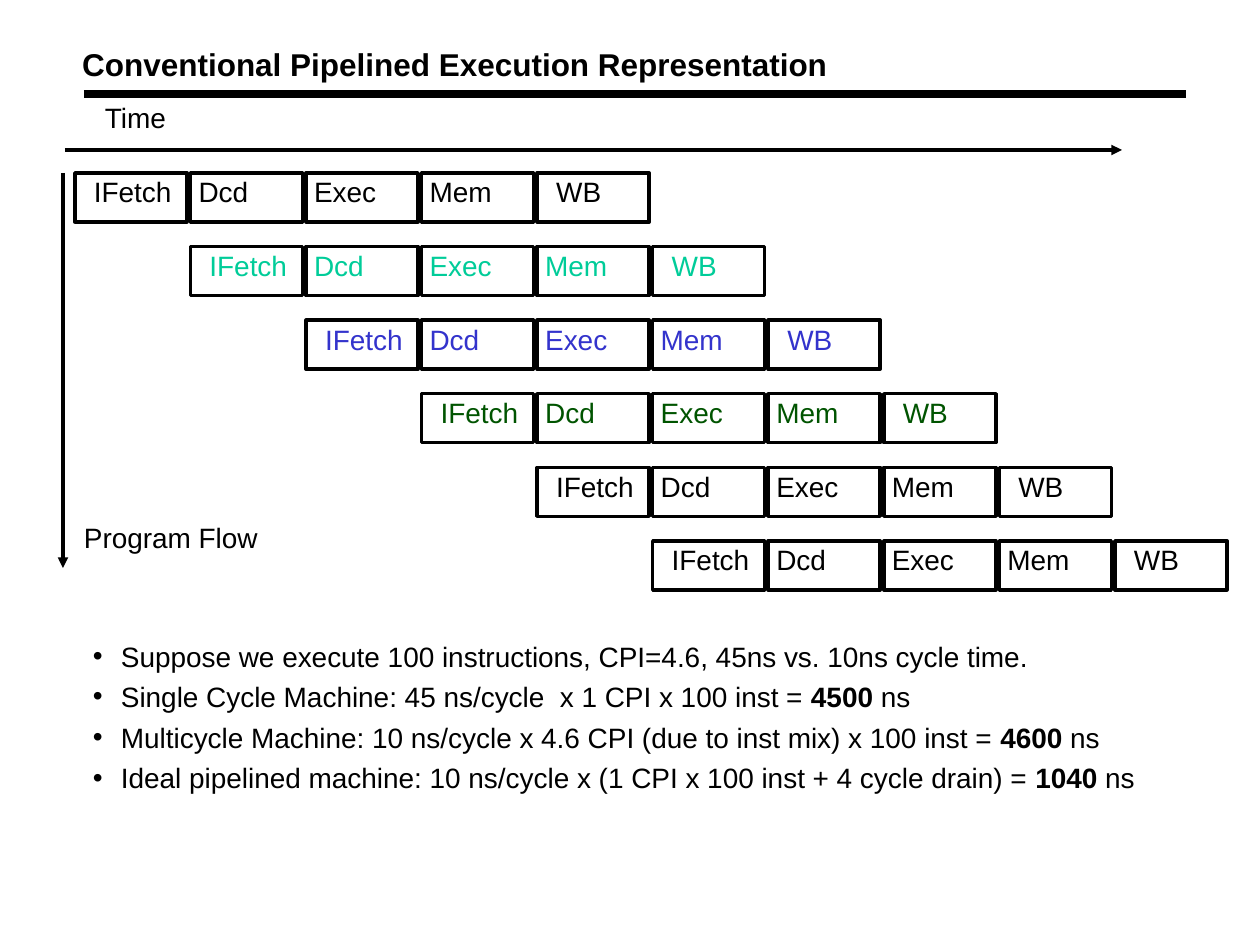
from dataclasses import dataclass

from lxml import etree
from pptx import Presentation
from pptx.dml.color import RGBColor
from pptx.enum.shapes import MSO_CONNECTOR, MSO_SHAPE
from pptx.enum.text import MSO_ANCHOR, MSO_AUTO_SIZE, PP_ALIGN
from pptx.oxml.ns import qn
from pptx.util import Pt

STRAIGHT = MSO_CONNECTOR.STRAIGHT
RECTANGLE = MSO_SHAPE.RECTANGLE
TOP = MSO_ANCHOR.TOP
FIT_SHAPE = MSO_AUTO_SIZE.SHAPE_TO_FIT_TEXT
CENTER = PP_ALIGN.CENTER
LEFT = PP_ALIGN.LEFT
EMU_PER_PX = 914400 // 126


@dataclass(frozen=True)
class Theme:
    """Colours and type sizes of the slide."""
    font: str = "Arial"
    ink: str = "000000"
    instructions: tuple = ("000000", "00CC99", "3333CC", "005400", "000000", "000000")
    title: int = 18
    text: int = 16
    rule: float = 4.5
    outline: float = 2
    bullet_gap: int = 4


THEME = Theme()
STAGES = [("IFetch", 7, 104), ("Dcd", -4, 77), ("Exec", -4, 90), ("Mem", -4, 90), ("WB", 7, 74)]
FINDINGS = [
    ("Suppose we execute 100 instructions, CPI=4.6, 45ns vs. 10ns cycle time.",),
    ("Single Cycle Machine: 45 ns/cycle  x 1 CPI x 100 inst = ", "4500", " ns"),
    ("Multicycle Machine: 10 ns/cycle x 4.6 CPI (due to inst mix) x 100 inst = ", "4600", " ns"),
    ("Ideal pipelined machine: 10 ns/cycle x (1 CPI x 100 inst + 4 cycle drain) = ", "1040", " ns"),
]


def px(length):
    """Turn pixels into EMU."""
    return round(length * EMU_PER_PX)


def add_run(paragraph, wording, size=THEME.text, color=THEME.ink, bold=False):
    """Append one formatted run."""
    run = paragraph.add_run()
    run.text = wording
    run.font.name = THEME.font
    run.font.size = Pt(size)
    run.font.bold = bold
    run.font.color.rgb = RGBColor.from_string(color)


def set_frame(frame, inset_x, inset_y, wrap):
    """Set the insets and fitting of a text frame."""
    frame.margin_left = frame.margin_right = px(inset_x)
    frame.margin_top = frame.margin_bottom = px(inset_y)
    frame.vertical_anchor = TOP
    frame.auto_size = FIT_SHAPE
    frame.word_wrap = wrap


def place(placeholder, box):
    """Move a placeholder to its box."""
    placeholder.left, placeholder.top, placeholder.width, placeholder.height = map(px, box)


def add_label(shapes, box, wording, color=THEME.ink):
    """Add a one-line label."""
    label = shapes.add_textbox(*map(px, box)).text_frame
    set_frame(label, 12, 6, False)
    add_run(label.paragraphs[0], wording, color=color)


def add_line(shapes, ends, weight, arrow=False):
    """Add a straight line, with an arrowhead at its end if wanted."""
    line = shapes.add_connector(STRAIGHT, *map(px, ends))
    line.line.color.rgb = RGBColor.from_string(THEME.ink)
    line.line.width = Pt(weight)
    if arrow:
        etree.SubElement(line.line._get_or_add_ln(), qn("a:tailEnd"), type="triangle")
    etree.SubElement(line._element.spPr, qn("a:effectLst"))


def build_header(slide, left, top, width, height):
    """Place the title above its rule."""
    add_line(slide.shapes, (left + 11, top + 53, left + 1113, top + 53), THEME.rule)
    title = slide.shapes.title
    place(title, (left, top, width, height))
    set_frame(title.text_frame, 9, 4, False)
    heading = title.text_frame.paragraphs[0]
    heading.alignment = CENTER
    add_run(heading, "Conventional Pipelined Execution Representation", THEME.title, bold=True)


def build_axes(slide, left, top, width, height):
    """Draw the time and program flow axes with their labels."""
    bottom = top + height
    add_line(slide.shapes, (left + 2, top, left + width, top), THEME.outline, arrow=True)
    add_line(slide.shapes, (left, top + 23, left, bottom), THEME.outline, arrow=True)
    add_label(slide.shapes, (left + 30, top - 55, 90, 45), "Time")
    add_label(slide.shapes, (left + 9, bottom - 53, 204, 45), "Program Flow")


def build_instruction(slide, left, top, cell_width, cell_height, step, color):
    """Draw the stages of one instruction as a group."""
    shapes = slide.shapes.add_group_shape().shapes
    for index, (stage, shift, label_width) in enumerate(STAGES):
        x = left + index * step
        cell = shapes.add_shape(RECTANGLE, px(x), px(top), px(cell_width), px(cell_height))
        cell.shadow.inherit = False
        cell.fill.background()
        cell.line.color.rgb = RGBColor.from_string(THEME.ink)
        cell.line.width = Pt(THEME.outline)
        add_label(shapes, (x + shift, top - 4, label_width, 45), stage, color)


def build_pipeline(slide, left, top, width, height):
    """Stagger the instructions by one stage per row."""
    cell_width, cell_height = 112, 49
    rows = len(THEME.instructions)
    step_x = (width - cell_width) / (rows + len(STAGES) - 2)
    step_y = (height - cell_height) / (rows - 1)
    for row, color in enumerate(THEME.instructions):
        build_instruction(slide, left + row * step_x, top + row * step_y,
                          cell_width, cell_height, step_x, color)


def build_findings(slide, left, top, width, height):
    """Fill the body with the machine comparison."""
    body = slide.placeholders[1]
    place(body, (left, top, width, height))
    frame = body.text_frame
    set_frame(frame, 9, 4, True)
    for index, parts in enumerate(FINDINGS):
        finding = frame.add_paragraph() if index else frame.paragraphs[0]
        finding.alignment = LEFT
        finding.space_before = Pt(THEME.bullet_gap)
        properties = finding._p.get_or_add_pPr()
        properties.set("marL", str(px(28)))
        properties.set("indent", str(px(-28)))
        etree.SubElement(properties, qn("a:buChar"), char="•")
        for position, wording in enumerate(parts):
            add_run(finding, wording, bold=position == 1)


def main():
    """Build and save the slide."""
    deck = Presentation()
    deck.slide_width, deck.slide_height = px(1260), px(945)
    slide = deck.slides.add_slide(deck.slide_layouts[1])
    build_header(slide, 73, 41, 764, 45)
    build_pipeline(slide, 75, 173, 1152, 417)
    build_axes(slide, 63, 150, 1059, 418)
    build_findings(slide, 84, 635, 1081, 163)
    deck.save("out.pptx")


if __name__ == "__main__":
    main()
